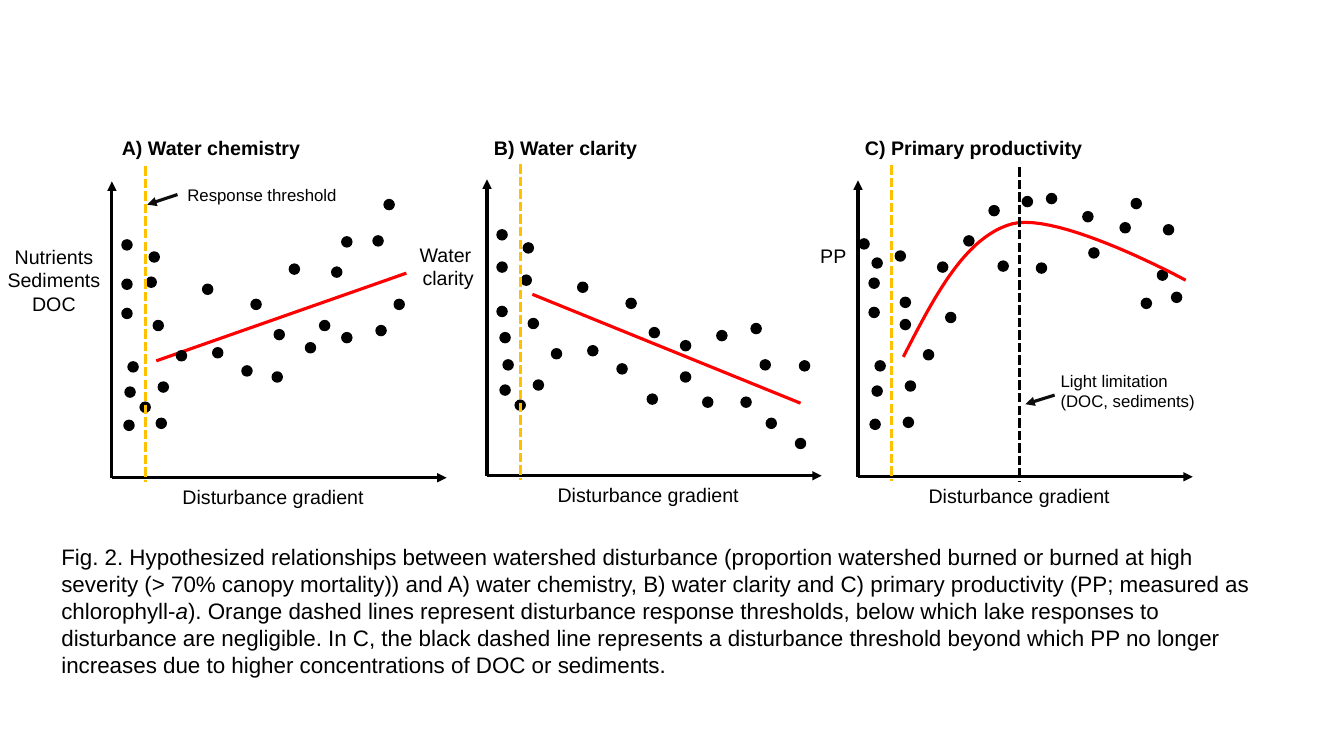
from pptx import Presentation
from pptx.dml.color import RGBColor
from pptx.enum.dml import MSO_LINE
from pptx.enum.shapes import MSO_CONNECTOR as CONNECTOR, MSO_SHAPE as SHAPE
from pptx.enum.text import MSO_AUTO_SIZE as AUTO_SIZE, PP_ALIGN as ALIGN
from pptx.oxml.ns import qn
from pptx.util import Pt
from lxml.etree import SubElement

PX = 9144  # EMU per px, 100 px to the inch
BLACK = RGBColor(0x00, 0x00, 0x00)
NEAR_BLACK = RGBColor(0x0D, 0x0D, 0x0D)
RED = RGBColor(0xFF, 0x00, 0x00)
ORANGE = RGBColor(0xFF, 0xC0, 0x00)

AXIS_WIDTH, AXIS_HEIGHT = 332, 294
DOT = 10
TITLE_TOP = 130
CURVE_STEPS = 24

TITLE = {"size": Pt(14), "bold": True}
LABEL = {"size": Pt(14)}
NOTE = {"size": Pt(12)}
CAPTION = {"size": Pt(16)}

# Positions inside a panel are px from the tip of its vertical axis
PANELS = [
    {
        "box": (111, 180), "title": "A) Water chemistry", "title_left": 111,
        "label": ["Nutrients", "Sediments", "DOC"], "label_left": -158,
        "trend": [(44, 178), (292, 91)],
        "note": (["Response threshold"], (65, -2), (65, 13), (35, 23)),
        "dots": [
            (259, 54), (46, 199), (100, 165), (159, 189), (206, 138), (192, 160),
            (270, 18), (129, 183), (161, 147), (41, 138), (64, 168), (138, 117),
            (37, 70), (218, 85), (280, 117), (262, 143), (176, 82), (10, 97),
            (16, 179), (90, 102), (13, 204), (10, 126), (10, 58), (28, 219),
            (228, 55), (44, 235), (12, 237), (34, 95), (228, 150),
        ],
    },
    {
        "box": (483, 178), "title": "B) Water clarity", "title_left": 480,
        "label": ["Water ", "clarity"], "label_left": -139,
        "trend": [(45, 114), (311, 222)],
        "dots": [
            (310, 180), (46, 199), (100, 165), (159, 213), (214, 216), (192, 160),
            (192, 191), (129, 183), (161, 147), (41, 138), (64, 168), (138, 118),
            (36, 63), (252, 216), (277, 237), (262, 143), (271, 179), (10, 82),
            (16, 179), (90, 102), (13, 204), (10, 126), (10, 50), (28, 219),
            (228, 150), (13, 152), (34, 95), (306, 257),
        ],
    },
    {
        "box": (851, 179), "title": "C) Primary productivity", "title_left": 848,
        "label": ["PP"], "label_left": -125,
        "curve": [
            [(45, 175), (76, 115), (106, 56), (153, 43)],
            [(153, 43), (200, 31), (325, 99), (325, 99)],
        ],
        "light_limit": 160,
        "note": (["Light limitation", "(DOC, sediments)"],
                 (191, 184), (195, 213), (166, 222)),
        "dots": [
            (260, 42), (47, 199), (311, 111), (163, 16), (303, 44), (87, 131),
            (271, 18), (130, 25), (105, 55), (42, 138), (65, 168), (139, 80),
            (37, 70), (223, 31), (281, 117), (297, 89), (177, 82), (11, 97),
            (17, 179), (79, 81), (14, 204), (11, 126), (14, 77), (1, 58),
            (229, 67), (45, 235), (12, 237), (42, 116), (187, 13),
        ],
    },
]

CAPTION_RUNS = [
    ("Fig. 2. Hypothesized relationships between watershed disturbance (proportion "
     "watershed burned or burned at high severity (> 70% canopy mortality)) and "
     "A) water chemistry, B) water clarity and C) primary productivity (PP; "
     "measured as chlorophyll-", False),
    ("a", True),
    ("). Orange dashed lines represent disturbance response thresholds, below which "
     "lake responses to disturbance are negligible. In C, the black dashed line "
     "represents a disturbance threshold beyond which PP no longer increases due to "
     "higher concentrations of DOC or sediments.", False),
]


def add_text(slide, box, paragraphs, font_format, align=ALIGN.LEFT):
    """Each paragraph is a list of (text, italic) runs."""
    frame = slide.shapes.add_textbox(*(value * PX for value in box)).text_frame
    frame.word_wrap = True
    frame.auto_size = AUTO_SIZE.SHAPE_TO_FIT_TEXT
    for index, runs in enumerate(paragraphs):
        paragraph = frame.add_paragraph() if index else frame.paragraphs[0]
        paragraph.alignment = align
        for text, italic in runs:
            run = paragraph.add_run()
            run.text = text
            run.font.color.rgb = BLACK
            for name, value in {"name": "Arial", "italic": italic, **font_format}.items():
                setattr(run.font, name, value)


def plain(lines):
    return [[(line, False)] for line in lines]


def add_line(slide, start, end, color, dashed=False, arrow=False):
    connector = slide.shapes.add_connector(
        CONNECTOR.STRAIGHT, *(value * PX for value in (*start, *end)))
    connector.line.color.rgb = color
    connector.line.width = Pt(2.25)
    if dashed:
        connector.line.dash_style = MSO_LINE.SQUARE_DOT
    properties = connector.element.spPr
    if arrow:
        SubElement(properties.find(qn("a:ln")), qn("a:tailEnd"), type="triangle")
    SubElement(properties, qn("a:effectLst"))


def add_dot(slide, left, top):
    dot = slide.shapes.add_shape(
        SHAPE.FLOWCHART_CONNECTOR, left * PX, top * PX, DOT * PX, DOT * PX)
    dot.shadow.inherit = False
    dot.fill.solid()
    dot.fill.fore_color.rgb = BLACK
    dot.line.color.rgb = BLACK
    dot.line.width = Pt(1)


def bezier_point(controls, t):
    weights = ((1 - t) ** 3, 3 * t * (1 - t) ** 2, 3 * t ** 2 * (1 - t), t ** 3)
    return tuple(sum(weight * point[axis] for weight, point in zip(weights, controls))
                 for axis in (0, 1))


def add_curve(slide, left, top, segments):
    points = [segments[0][0]] + [
        bezier_point(controls, step / CURVE_STEPS)
        for controls in segments for step in range(1, CURVE_STEPS + 1)]
    points = [(round((left + x) * PX), round((top + y) * PX)) for x, y in points]
    builder = slide.shapes.build_freeform(*points[0])
    builder.add_line_segments(points[1:], close=False)
    curve = builder.convert_to_shape()
    curve.shadow.inherit = False
    curve.fill.background()
    curve.line.color.rgb = RED
    curve.line.width = Pt(2.25)


def add_panel(slide, panel):
    left, top = panel["box"]

    def at(x, y):
        return left + x, top + y

    # Axes and their labels
    origin = at(0, AXIS_HEIGHT)
    add_line(slide, origin, at(0, 0), BLACK, arrow=True)
    add_line(slide, origin, at(AXIS_WIDTH, AXIS_HEIGHT), BLACK, arrow=True)
    add_text(slide, (*at(0, 296), 320, 34), plain(["Disturbance gradient"]),
             LABEL, ALIGN.CENTER)
    label = panel["label"]
    add_text(slide, (*at(panel["label_left"], 58), 201, 10 + 24 * len(label)),
             plain(label), LABEL, ALIGN.CENTER)
    add_text(slide, (panel["title_left"], TITLE_TOP, 322, 34),
             plain([panel["title"]]), TITLE)

    # Observations, trend and thresholds
    if "trend" in panel:
        start, end = panel["trend"]
        add_line(slide, at(*start), at(*end), RED)
    for dot in panel["dots"]:
        add_dot(slide, *at(*dot))
    add_line(slide, at(33, -15), at(33, 298), ORANGE, dashed=True)
    if "curve" in panel:
        add_curve(slide, left, top, panel["curve"])
    if "light_limit" in panel:
        x = panel["light_limit"]
        add_line(slide, at(x, -13), at(x, 299), BLACK, dashed=True)

    # Note with its arrow
    if "note" in panel:
        lines, corner, start, end = panel["note"]
        add_text(slide, (*at(*corner), 169, 10 + 20 * len(lines)), plain(lines), NOTE)
        add_line(slide, at(*start), at(*end), NEAR_BLACK, arrow=True)


def main():
    presentation = Presentation()
    presentation.slide_width, presentation.slide_height = 1333 * PX, 750 * PX
    slide = presentation.slides.add_slide(presentation.slide_layouts[6])
    add_text(slide, (51, 534, 1205, 145), [CAPTION_RUNS], CAPTION)
    for panel in PANELS:
        add_panel(slide, panel)
    presentation.save("out.pptx")


if __name__ == "__main__":
    main()
